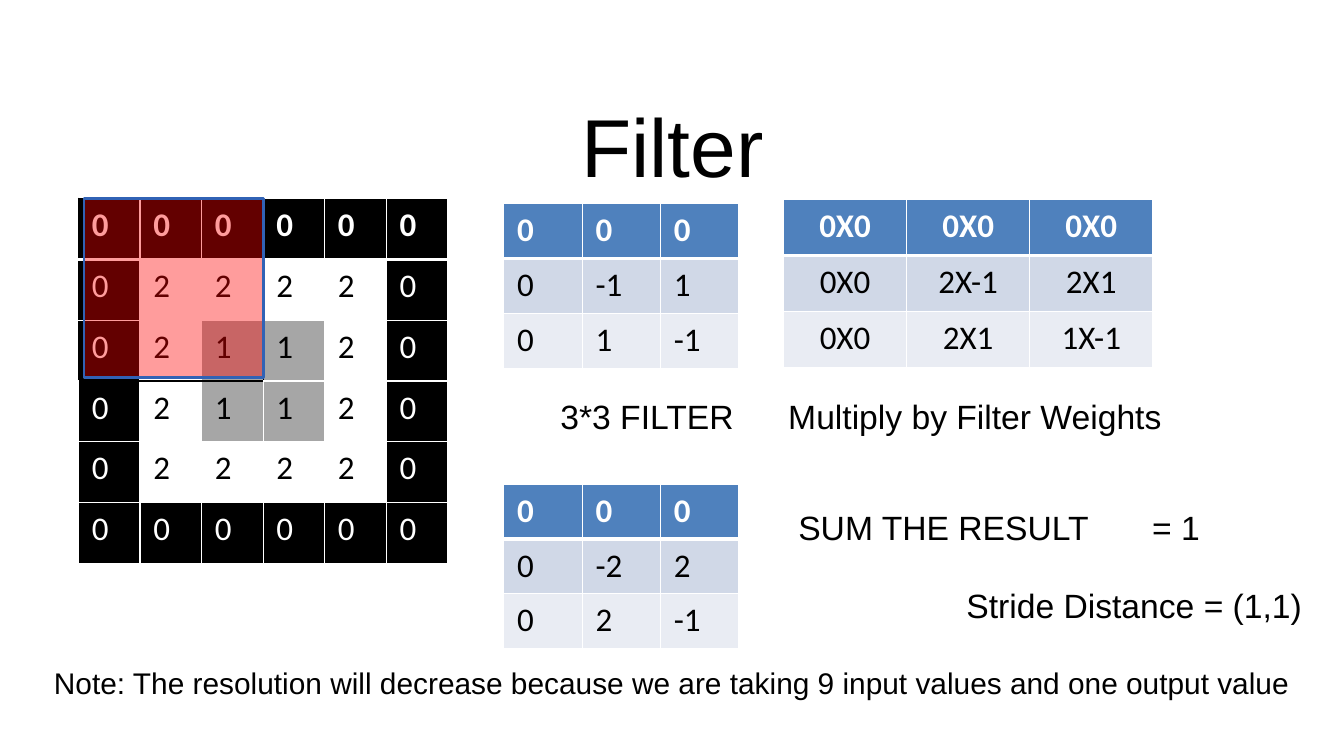
from dataclasses import dataclass
from lxml.etree import SubElement
from pptx import Presentation
from pptx.dml.color import RGBColor as Rgb
from pptx.enum.shapes import MSO_SHAPE as Shape
from pptx.enum.text import MSO_ANCHOR as Anchor, MSO_AUTO_SIZE as Fit, PP_ALIGN as Align
from pptx.oxml.ns import qn
from pptx.util import Cm, Pt


@dataclass(frozen=True)
class Theme:
    black: str = "000000"
    white: str = "FFFFFF"
    grey: str = "A6A6A6"
    head: str = "4F81BD"
    odd: str = "D0D8E7"
    even: str = "E9ECF3"
    red: str = "FF0000"
    edge: str = "3162B5"
    sans: str = "Arial"
    grid: str = "Calibri"
    title: float = 64.7
    label: float = 26.5
    cell: float = 26
    note: float = 23.5
    thin: float = 0.96
    thick: float = 3


THEME = Theme()
SPAN = 3


def write(frame, text, size, face, color, bold=False, align=Align.LEFT):
    para = frame.paragraphs[0]
    para.alignment = align
    run = para.add_run()
    run.text = text
    font = run.font
    font.size, font.name, font.bold = Pt(size), face, bold
    font.color.rgb = Rgb.from_string(color)


def border(cell, sides):
    props = cell._tc.get_or_add_tcPr()
    for side in "LRTB":
        color, width = sides[side]
        line = SubElement(props, qn(f"a:ln{side}"), w=str(int(Pt(width))))
        fill = SubElement(line, qn("a:solidFill"))
        SubElement(fill, qn("a:srgbClr"), val=color)


def grid(slide, box, rows, shade, frame=None, align=Align.LEFT):
    left, top, width, height = box
    count, wide = len(rows), len(rows[0])
    table = slide.shapes.add_table(
        count, wide, Cm(left), Cm(top), Cm(width), Cm(height)).table
    for col in table.columns:
        col.width = Cm(width / wide)
    for r, values in enumerate(rows):
        table.rows[r].height = Cm(height / count)
        for c, value in enumerate(values):
            cell = table.cell(r, c)
            cell.margin_left = cell.margin_right = Cm(0.37)
            cell.margin_top = cell.margin_bottom = Cm(0.18)
            sides = dict.fromkeys("LRTB", (THEME.white, THEME.thin))
            if r < 2:
                sides["TB"[r == 0]] = THEME.white, THEME.thick
            if frame:
                sides.update(frame(r, c))
            border(cell, sides)
            back, fore = shade(r, c)
            cell.fill.solid()
            cell.fill.fore_color.rgb = Rgb.from_string(back)
            write(cell.text_frame, value, THEME.cell, THEME.grid, fore, r == 0, align)


def band(r, c):
    back = (THEME.head, THEME.odd, THEME.even)[r]
    return back, THEME.black if r else THEME.white


def outline(r, c):
    last = SPAN - 1
    marks = {
        "L": r <= last and c in (0, SPAN),
        "R": r <= last and c == last,
        "T": c <= last and r in (0, SPAN),
        "B": c <= last and r == last,
    }
    return {side: (THEME.black, THEME.thin) for side, on in marks.items() if on}


def image(slide, box):
    size = 6

    def ring(r, c):
        return min(r, c, size - 1 - r, size - 1 - c)

    def shade(r, c):
        depth = ring(r, c)
        back = (THEME.black, THEME.white, THEME.grey)[depth]
        return back, THEME.black if depth else THEME.white

    rows = [["021"[ring(r, c)] for c in range(size)] for r in range(size)]
    grid(slide, box, rows, shade, outline)


def window(slide, box):
    left, top, side = box
    mask = slide.shapes.add_shape(
        Shape.RECTANGLE, Cm(left), Cm(top), Cm(side), Cm(side))
    mask.shadow.inherit = False
    mask.fill.solid()
    mask.fill.fore_color.rgb = Rgb.from_string(THEME.red)
    tint = mask.fill._xPr.find(qn("a:solidFill"))[0]
    SubElement(tint, qn("a:alpha"), val="39000")
    mask.line.color.rgb = Rgb.from_string(THEME.edge)
    mask.line.width = Pt(2)


def label(slide, box, text, size=THEME.label):
    frame = slide.shapes.add_textbox(*map(Cm, box)).text_frame
    frame.word_wrap = False
    frame.auto_size = Fit.SHAPE_TO_FIT_TEXT
    frame.margin_left = frame.margin_right = Cm(0.36)
    frame.margin_top = frame.margin_bottom = Cm(0.18)
    write(frame, text, size, THEME.sans, THEME.black)


def heading(slide, box, text):
    title = slide.shapes.title
    title.left, title.top, title.width, title.height = map(Cm, box)
    frame = title.text_frame
    frame.vertical_anchor = Anchor.MIDDLE
    frame.auto_size = Fit.NONE
    write(frame, text, THEME.title, THEME.sans, THEME.black, align=Align.CENTER)


def main():
    deck = Presentation()
    deck.slide_width, deck.slide_height = Cm(37.34), Cm(21.01)
    slide = deck.slides.add_slide(deck.slide_layouts[5])

    heading(slide, (1.88, 2.26, 33.6, 3.51), "Filter")
    image(slide, (2.18, 5.51, 10.26, 10.16))
    weights = [["0", "0", "0"], ["0", "-1", "1"], ["0", "1", "-1"]]
    steps = [["0X0", "0X0", "0X0"], ["0X0", "2X-1", "2X1"], ["0X0", "2X1", "1X-1"]]
    result = [["0", "0", "0"], ["0", "-2", "2"], ["0", "2", "-1"]]
    grid(slide, (14, 5.66, 6.53, 4.57), weights, band)
    grid(slide, (21.77, 5.54, 10.26, 4.67), steps, band, align=Align.CENTER)
    grid(slide, (14, 13.46, 6.53, 4.57), result, band)
    window(slide, (2.34, 5.51, 4.98))

    label(slide, (15.21, 10.82, 5.59, 1.5), "3*3 FILTER")
    label(slide, (21.54, 10.82, 11.2, 1.5), "Multiply by Filter Weights")
    label(slide, (31.65, 13.92, 2.08, 1.5), "= 1")
    label(slide, (21.82, 13.92, 8.86, 1.5), "SUM THE RESULT")
    label(slide, (1.14, 18.29, 35.46, 1.37),
          "Note: The resolution will decrease because we are taking "
          "9 input values and one output value", THEME.note)
    label(slide, (26.49, 16.08, 10.41, 1.5), "Stride Distance = (1,1)")
    deck.save("out.pptx")


if __name__ == "__main__":
    main()
